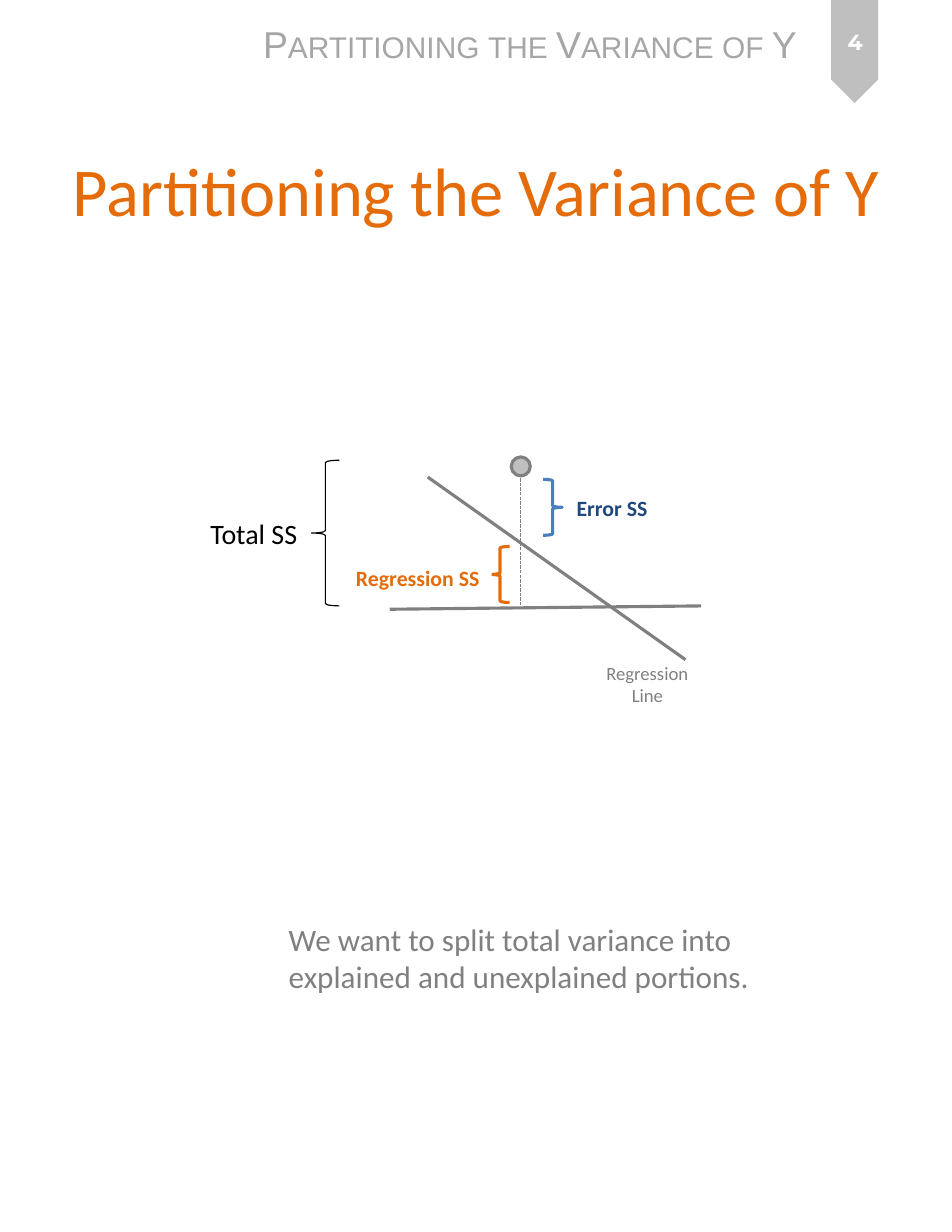
from lxml import etree
from pptx import Presentation
from pptx.dml.color import RGBColor
from pptx.enum.dml import MSO_LINE
from pptx.enum.shapes import MSO_CONNECTOR, MSO_SHAPE as Kind
from pptx.enum.text import MSO_ANCHOR as Anchor, MSO_AUTO_SIZE as Fit, PP_ALIGN as Align
from pptx.oxml.ns import qn
from pptx.util import Pt

BLACK = RGBColor(0x00, 0x00, 0x00)
WHITE = RGBColor(0xFF, 0xFF, 0xFF)
GRAY = RGBColor(0x80, 0x80, 0x80)
HEADER_GRAY = RGBColor(0xA6, 0xA6, 0xA6)
LIGHT_GRAY = RGBColor(0xBF, 0xBF, 0xBF)
ORANGE = RGBColor(0xE4, 0x6C, 0x0A)
BLUE = RGBColor(0x4B, 0x7E, 0xBC)
NAVY = RGBColor(0x1F, 0x49, 0x7D)

deck = Presentation()
deck.slide_width, deck.slide_height = Pt(612), Pt(792)
page = deck.slides.add_slide(deck.slide_layouts[6])


def add_figure(kind, bounds, fill, outline, width):
    figure = page.shapes.add_shape(kind, *map(Pt, bounds))
    figure.shadow.inherit = False
    if fill is None:
        figure.fill.background()
    else:
        figure.fill.solid()
        figure.fill.fore_color.rgb = fill
    if outline is None:
        figure.line.fill.background()
    else:
        figure.line.color.rgb = outline
        figure.line.width = Pt(width)
    return figure


def add_text(text, bounds, color, font, frame=None, align=Align.LEFT, fill=None):
    box = page.shapes.add_textbox(*map(Pt, bounds))
    if fill is not None:
        box.fill.solid()
        box.fill.fore_color.rgb = fill
    for name, value in (frame or {}).items():
        setattr(box.text_frame, name, value)
    para = box.text_frame.paragraphs[0]
    para.text = text
    para.alignment = align
    for span in para.runs:
        for name, value in font.items():
            setattr(span.font, name, value)
        span.font.color.rgb = color
    return box


marker = add_figure(Kind.PENTAGON, (516.24, 18, 66.24, 30.24), LIGHT_GRAY, None, 0)
marker.rotation = 90

lines = [
    ((250.56, 391.68, 450.72, 389.52), 2, MSO_LINE.SOLID),
    ((334.8, 307.44, 334.8, 391.68), 0.75, MSO_LINE.SQUARE_DOT),
    ((275.04, 306.72, 440.64, 424.08), 2, MSO_LINE.SOLID),
]
for ends, width, dash in lines:
    line = page.shapes.add_connector(MSO_CONNECTOR.STRAIGHT, *map(Pt, ends))
    line.line.color.rgb = GRAY
    line.line.width = Pt(width)
    line.line.dash_style = dash
    etree.SubElement(line._element.spPr, qn("a:effectLst"))

figures = [
    (Kind.OVAL, (328.68, 293.76, 12.24, 12.24), LIGHT_GRAY, GRAY, 2),
    (Kind.LEFT_BRACE, (315.36, 351.36, 12.24, 36), WHITE, ORANGE, 2),
    (Kind.RIGHT_BRACE, (349.2, 308.16, 12.24, 36), WHITE, BLUE, 2),
    (Kind.LEFT_BRACE, (200.16, 295.92, 18, 93.6), None, BLACK, 0.75),
]
for figure in figures:
    add_figure(*figure)

SNUG = {"word_wrap": False, "auto_size": Fit.SHAPE_TO_FIT_TEXT}
GROWING = {"word_wrap": True, "auto_size": Fit.SHAPE_TO_FIT_TEXT}
FIXED = {"word_wrap": True}
MIDDLE = {"word_wrap": True, "vertical_anchor": Anchor.MIDDLE}
LABEL = {"name": "Calibri", "size": Pt(14), "bold": True}

header = add_text("Partitioning the Variance of Y", (162, 10.08, 361.44, 36),
                  HEADER_GRAY, {"name": "Arial", "size": Pt(24)}, SNUG)
header.text_frame.paragraphs[0].runs[0].font._element.set("cap", "small")

add_text("Regression\nLine", (380.88, 421.92, 70.56, 36), GRAY,
         {"name": "Calibri", "size": Pt(12)}, SNUG, Align.CENTER)
add_text("Error SS", (363.6, 314.64, 60.48, 24.48), NAVY, LABEL, SNUG, fill=WHITE)
add_text("Regression SS", (221.76, 359.28, 94.32, 24.48), ORANGE, LABEL, SNUG, fill=WHITE)
add_text("Total SS", (128.16, 328.32, 70.56, 28.8), BLACK,
         {"name": "Calibri", "size": Pt(18)}, SNUG)
add_text("4", (522.72, 5.76, 54, 42.48), WHITE,
         {"name": "Montserrat", "size": Pt(14), "bold": True}, MIDDLE, Align.CENTER)
add_text("Partitioning the Variance of Y", (30.96, 91.44, 550.8, 131.76), ORANGE,
         {"name": "Calibri", "size": Pt(44)}, FIXED, Align.CENTER)
add_text("We want to split total variance into explained and unexplained portions.",
         (178.56, 588.24, 370.08, 55.44), GRAY,
         {"name": "Calibri", "size": Pt(20)}, GROWING)

deck.save("out.pptx")
